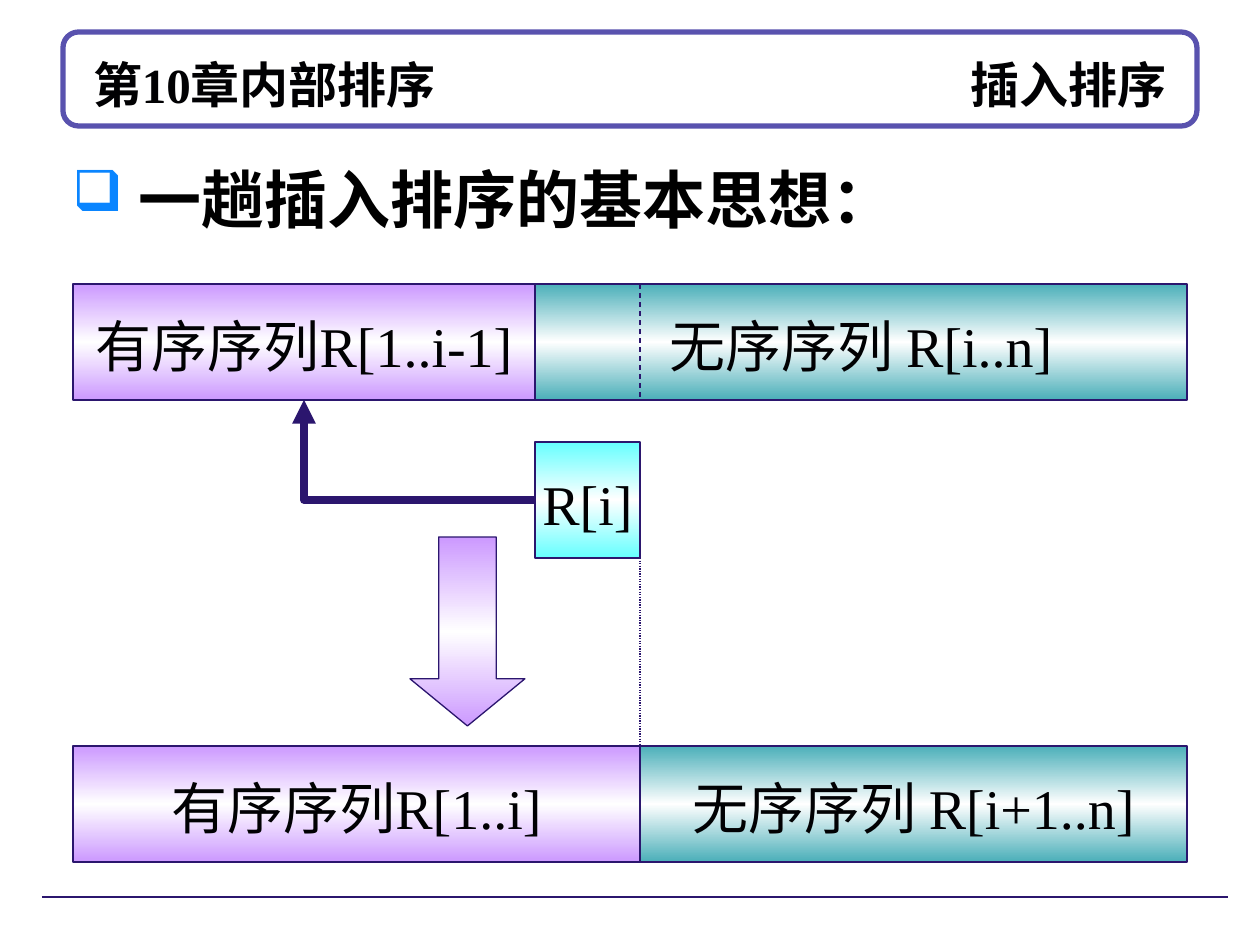
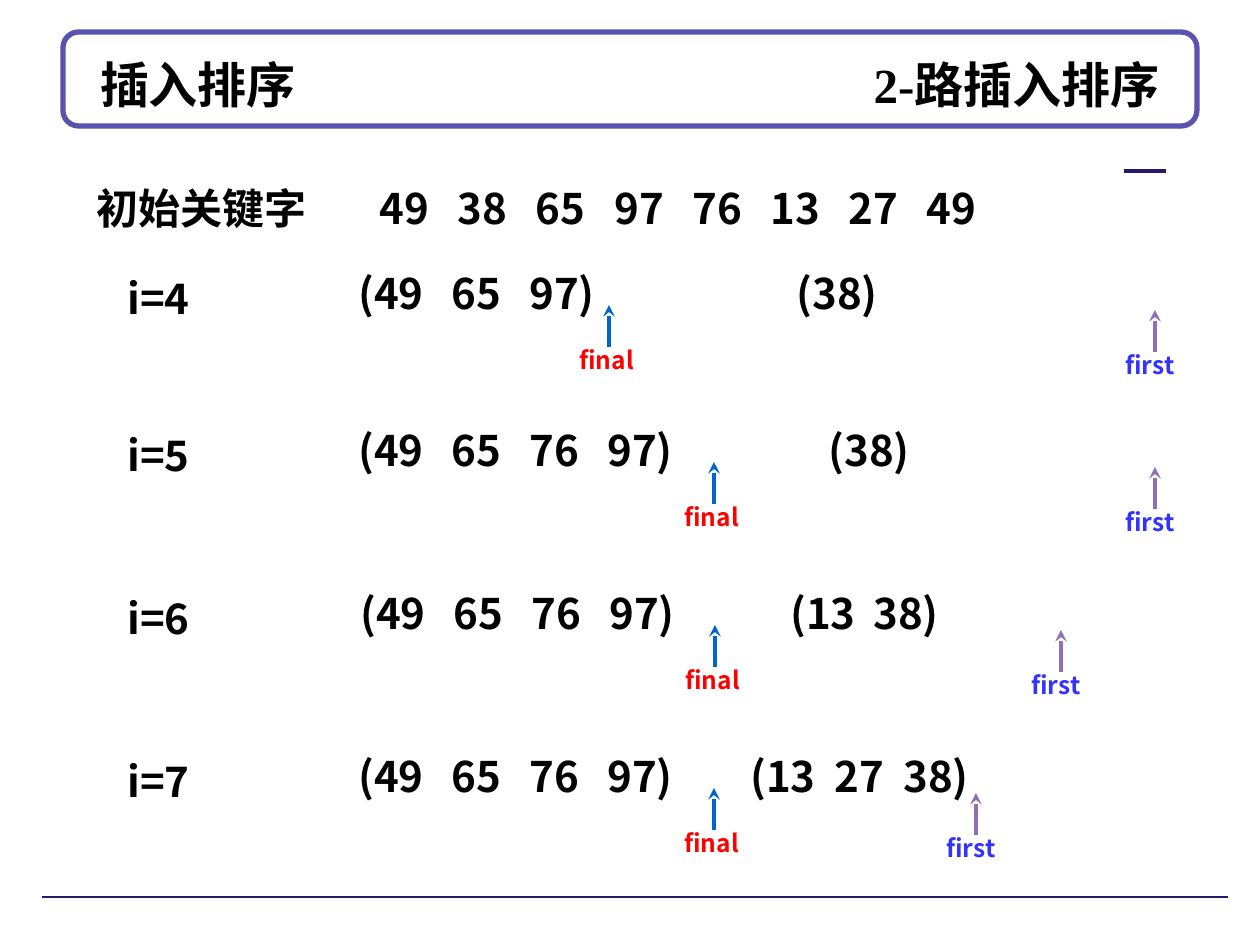
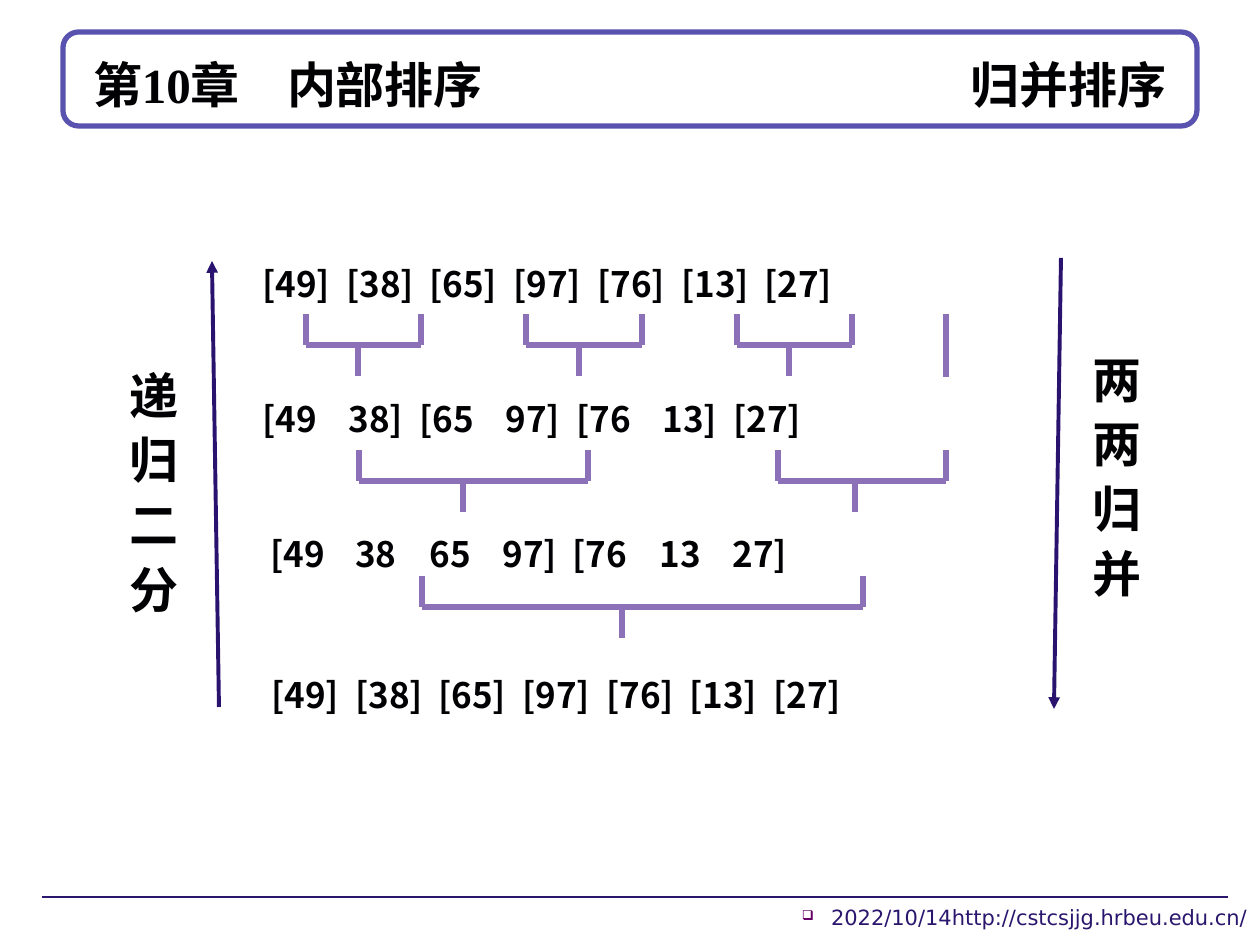
import copy
from dataclasses import dataclass

import lxml.etree
import pptx
import pptx.dml.color
import pptx.enum.dml
import pptx.enum.shapes
import pptx.enum.text
import pptx.oxml.ns
import pptx.util

SHAPE = pptx.enum.shapes.MSO_SHAPE
CONNECTOR = pptx.enum.shapes.MSO_CONNECTOR
ALIGN = pptx.enum.text.PP_ALIGN
ANCHOR = pptx.enum.text.MSO_ANCHOR
DASH = pptx.enum.dml.MSO_LINE
qn = pptx.oxml.ns.qn


@dataclass(frozen=True)
class Theme:
    # Colours
    ink: str = "010103"
    black: str = "000000"
    navy: str = "2B166E"
    arrow: str = "29136E"
    frame: str = "5952AE"
    purple: str = "8C71B9"
    blue: str = "0066CC"
    red: str = "FF0000"
    first: str = "3333FF"
    bullet: str = "0A85FF"
    footer_bullet: str = "660066"
    white: str = "FFFFFF"
    ordered: str = "CC99FF"
    unordered: str = "4BAFB9"
    record: str = "66FFFF"
    # Fonts
    serif: str = "Times New Roman"
    sans: str = "Noto Sans CJK SC"
    label: str = "Cabin"
    footer: str = "DejaVu Sans"
    # Type sizes
    heading: int = 36
    box: int = 32
    title: int = 28
    keys: int = 24
    merge: int = 20
    marker: int = 14
    small: int = 12


THEME = Theme()


def px(length):
    return pptx.util.Emu(round(length * 914400 / 126))


def rgb(value):
    return pptx.dml.color.RGBColor.from_string(value)


def add_xml(parent, tag, **attributes):
    return lxml.etree.SubElement(parent, qn(tag), attributes)


def spaced(start, step, texts):
    return [(round(start + step * index), text) for index, text in enumerate(texts)]


class Painter:
    def __init__(self):
        self.deck = pptx.Presentation()
        self.deck.slide_width, self.deck.slide_height = px(1260), px(945)
        self.layout = self.deck.slide_layouts[5]
        self.page = None

    def share(self, *shapes):
        """Move shapes from the current slide to the back of the layout."""
        for index, shape in enumerate(shapes):
            self.layout.shapes.element.insert(2 + index, shape.element)

    def new_page(self, inset, cells):
        """Start a slide; the last title cell ends at the right inset."""
        first_page = self.page is None
        self.page = self.deck.slides.add_slide(self.layout)
        if first_page:
            band = self.shape(SHAPE.ROUNDED_RECTANGLE, 63, 32, 1134, 94,
                              THEME.white, THEME.frame, 3)
            self.share(band, self.line((42, 897), (1228, 897)))
        title = self.page.shapes.title
        title.left, title.top, title.width, title.height = map(px, (63, 42, 1134, 78))
        self.set_text(title, "\t".join(text for _, text in cells), THEME.title,
                      bold=True, anchor=ANCHOR.MIDDLE)
        title.text_frame.margin_left = title.text_frame.margin_right = px(inset)
        stops = [(x - 63 - inset, "l") for x, _ in cells[1:-1]]
        self.tabs(title, stops + [(1134 - 2 * inset - 1, "r")])

    def set_text(self, shape, text, size, color=THEME.ink, font=THEME.serif, bold=False,
                 align=ALIGN.LEFT, anchor=ANCHOR.TOP, wrap=True, spacing=1.1):
        frame = shape.text_frame
        frame.text = text
        frame.word_wrap = wrap
        frame.auto_size = pptx.enum.text.MSO_AUTO_SIZE.NONE
        frame.vertical_anchor = anchor
        para = frame.paragraphs[0]
        para.alignment = align
        para.line_spacing = spacing
        for span in para.runs:
            span.font.size = pptx.util.Pt(size)
            span.font.bold = bold
            span.font.name = font
            span.font.color.rgb = rgb(color)
        for props in shape.element.iter(qn("a:rPr")):
            add_xml(props, "a:ea", typeface=THEME.sans)

    def tabs(self, shape, stops):
        tab_list = add_xml(shape.element.find(".//" + qn("a:pPr")), "a:tabLst")
        for position, align in stops:
            add_xml(tab_list, "a:tab", pos=str(px(position)), algn=align)

    def bullet(self, shape, hang, color, percent):
        props = shape.element.find(".//" + qn("a:pPr"))
        props.set("marL", str(px(hang)))
        props.set("indent", str(-px(hang)))
        add_xml(add_xml(props, "a:buClr"), "a:srgbClr", val=color)
        add_xml(props, "a:buSzPct", val=str(percent * 1000))
        add_xml(props, "a:buChar", char="❑")

    def text(self, left, top, width, height, text, size, **style):
        box = self.page.shapes.add_textbox(*map(px, (left, top, width, height)))
        self.set_text(box, text, size, **style)
        return box

    def row(self, top, width, cells, size):
        """Set cells, each starting at its own x, in one tabbed line."""
        start = cells[0][0]
        box = self.text(start - 13, top, width, 69, "\t".join(text for _, text in cells),
                        size, font=THEME.sans, bold=True)
        self.tabs(box, [(x - start, "l") for x, _ in cells[1:]])

    def shape(self, kind, left, top, width, height, fill, line=THEME.navy, weight=0.75):
        shape = self.page.shapes.add_shape(kind, *map(px, (left, top, width, height)))
        shape.shadow.inherit = False
        shape.fill.solid()
        shape.fill.fore_color.rgb = rgb(fill)
        shape.line.color.rgb = rgb(line)
        shape.line.width = pptx.util.Pt(weight)
        return shape

    def glow(self, kind, left, top, width, height, color, text=None):
        """Shape whose colour fades to white in its middle."""
        shape = self.shape(kind, left, top, width, height, color)
        shape.fill.gradient()
        shape.fill.gradient_angle = 270
        stop_list = shape.element.find(".//" + qn("a:gsLst"))
        stop_list.insert(1, copy.deepcopy(stop_list[0]))
        for stop, position, shade in zip(shape.fill.gradient_stops, (0, 0.5, 1),
                                         (color, THEME.white, color)):
            stop.position = position
            stop.color.rgb = rgb(shade)
        if text:
            self.set_text(shape, text, THEME.box, align=ALIGN.CENTER,
                          anchor=ANCHOR.MIDDLE, wrap=False)
        return shape

    def line(self, start, end, color=THEME.navy, weight=0.75, dash=None, head=None,
             kind=CONNECTOR.STRAIGHT):
        line = self.page.shapes.add_connector(kind, *map(px, start + end))
        line.line.color.rgb = rgb(color)
        line.line.width = pptx.util.Pt(weight)
        if dash:
            line.line.dash_style = dash
        if head:
            add_xml(line.element.find(".//" + qn("a:ln")), "a:tailEnd", type=head)
        add_xml(line.element.find(qn("p:spPr")), "a:effectLst")
        return line

    def marker(self, x, tip, label, text_color, arrow_color):
        self.text(x - 42, tip + 31, 95, 45, label, THEME.marker,
                  color=text_color, font=THEME.sans, bold=True)
        self.line((x, tip + 42), (x, tip), arrow_color, 2.25, head="stealth")

    def bracket(self, left, right, stem, y):
        for start, end in (((left, y), (right, y)), ((left, y), (left, y - 31)),
                           ((right, y), (right, y - 31)), ((stem, y), (stem, y + 31))):
            self.line(start, end, THEME.purple, 3)

    def column(self, left, top, width, text):
        """Stack characters one to a line in a narrow box."""
        self.text(left, top, width, 266, text, THEME.title, font=THEME.sans, bold=True,
                  spacing=pptx.util.Pt(37))


def insertion_idea(painter):
    painter.new_page(30, [(93, "第10章内部排序"), (1166, "插入排序")])
    heading = painter.text(60, 147, 856, 91, "一趟插入排序的基本思想：", THEME.heading,
                           color=THEME.black, bold=True, wrap=False)
    painter.bullet(heading, 66, THEME.bullet, 90)

    # Sequences before and after one pass
    rectangle = SHAPE.RECTANGLE
    ordered = painter.glow(rectangle, 73, 284, 462, 116, THEME.ordered, "有序序列R[1..i-1]")
    record = painter.glow(rectangle, 535, 442, 105, 116, THEME.record, "R[i]")
    painter.glow(rectangle, 535, 284, 652, 116, THEME.unordered, "无序序列 R[i..n]")
    painter.glow(rectangle, 73, 746, 567, 116, THEME.ordered, "有序序列R[1..i]")
    painter.glow(rectangle, 640, 746, 547, 116, THEME.unordered, "无序序列 R[i+1..n]")

    # Insertion route and step arrow
    route = painter.line((535, 500), (304, 400), weight=4.5, head="triangle",
                         kind=CONNECTOR.ELBOW)
    route.element.find(".//" + qn("a:prstGeom")).set("prst", "bentConnector2")
    route.begin_connect(record, 1)
    route.end_connect(ordered, 2)
    step = painter.glow(SHAPE.DOWN_ARROW, 410, 537, 115, 189, THEME.ordered)
    step.adjustments[1] = 0.41

    # Guides at the record's right edge
    painter.line((640, 284), (640, 400), dash=DASH.DASH)
    painter.line((640, 558), (640, 746), dash=DASH.ROUND_DOT)


def two_way_insertion(painter):
    painter.new_page(37, [(100, "插入排序"), (1160, "2-路插入排序")])
    painter.text(84, 171, 252, 69, "初始关键字", THEME.keys, font=THEME.label, bold=True)
    painter.row(171, 840, spaced(380, 78.2, "49 38 65 97 76 13 27 49".split()), THEME.keys)
    painter.line((1124, 171), (1166, 171), weight=2.25)

    # Step, row top, row start, sorted part, wrapped part, final and first markers
    steps = [
        ("i=4", 256, 359, "(49 65 97)", [(797, "(38)")], 609, 1155),
        ("i=5", 413, 359, "(49 65 76 97)", [(829, "(38)")], 714, 1155),
        ("i=6", 576, 361, "(49 65 76 97)", [(791, "(13"), (874, "38)")], 715, 1061),
        ("i=7", 739, 359, "(49 65 76 97)",
         [(751, "(13"), (835, "27"), (904, "38)")], 714, 976),
    ]
    for label, top, start, sorted_keys, wrapped, final, first in steps:
        painter.text(115, top + 5, 105, 69, label, THEME.keys, font=THEME.sans, bold=True)
        first_key, *other_keys = sorted_keys.split()
        cells = [(start, first_key)] + spaced(start + 93, 78.2, other_keys) + wrapped
        painter.row(top, 872, cells, THEME.keys)
        painter.marker(first, top + 54, "first", THEME.first, THEME.purple)
        painter.marker(final, top + 49, "final", THEME.red, THEME.blue)


def merge_sort(painter):
    painter.new_page(30, [(93, "第10章"), (287, "内部排序"), (1166, "归并排序")])
    footer = painter.text(761, 898, 499, 47, "2022/10/14http://cstcsjjg.hrbeu.edu.cn/",
                          THEME.small, color=THEME.navy, font=THEME.footer,
                          align=ALIGN.RIGHT, spacing=1.0)
    painter.bullet(footer, 29, THEME.footer_bullet, 65)

    # Key rows
    singles = "[49] [38] [65] [97] [76] [13] [27]".split()
    pairs = [(263, "[49"), (349, "38]"), (420, "[65"), (506, "97]"),
             (577, "[76"), (663, "13]"), (734, "[27]")]
    halves = [(271, "[49"), (356, "38"), (430, "65"), (503, "97]"),
              (573, "[76"), (660, "13"), (733, "27]")]
    for top, cells in ((252, spaced(263, 83.7, singles)), (387, pairs), (522, halves),
                       (663, spaced(272, 83.7, singles))):
        painter.row(top, 759, cells, THEME.merge)

    # Merge brackets
    for y, brackets in ((345, [(306, 421, 358), (526, 642, 579), (737, 852, 789)]),
                        (481, [(359, 588, 463), (778, 946, 855)]),
                        (607, [(422, 863, 622)])):
        for left, right, stem in brackets:
            painter.bracket(left, right, stem, y)
    painter.line((946, 314), (946, 377), THEME.purple, 3)

    # Directions
    painter.line((219, 707), (212, 261), THEME.arrow, 2.25, head="triangle")
    painter.column(117, 353, 69, "递归二分")
    painter.line((1061, 258), (1054, 709), THEME.arrow, 2.25, head="triangle")
    painter.column(1080, 337, 61, "两两归并")


def main():
    painter = Painter()
    insertion_idea(painter)
    two_way_insertion(painter)
    merge_sort(painter)
    painter.deck.save("out.pptx")


if __name__ == "__main__":
    main()
